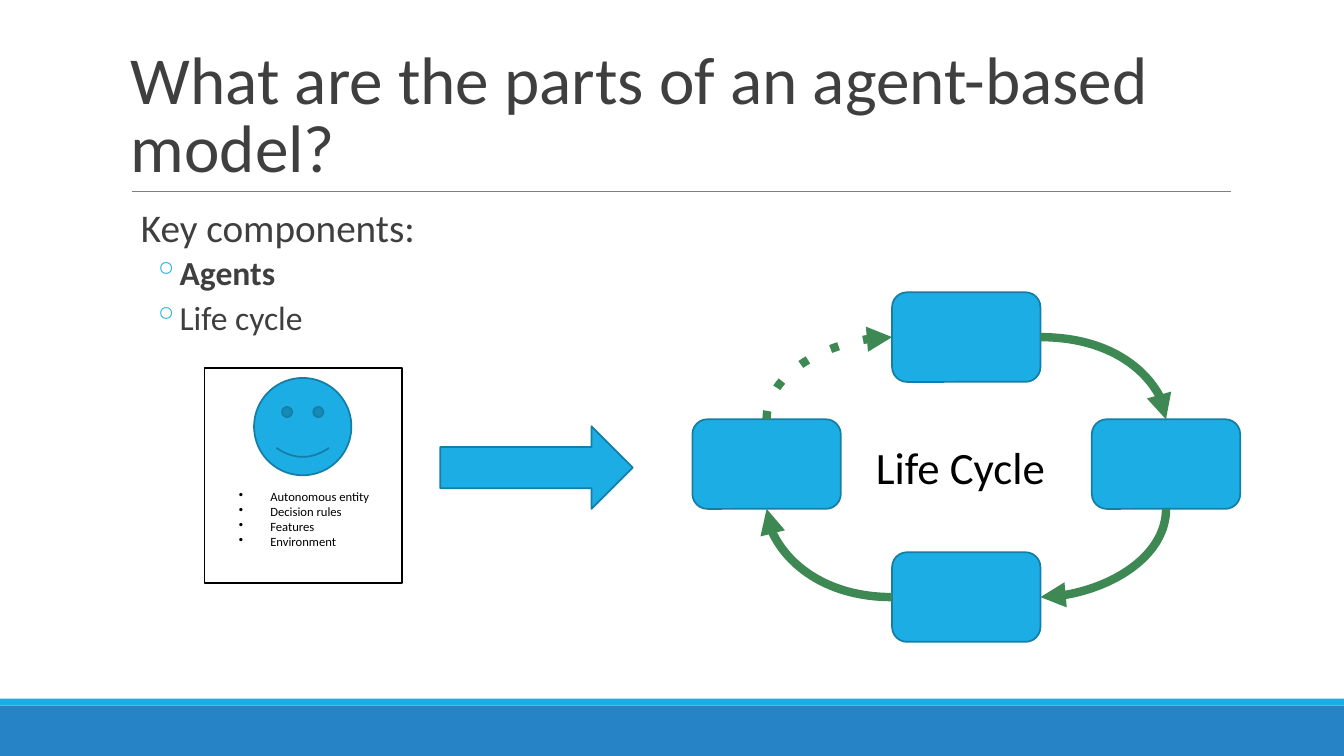
from lxml import etree
from pptx import Presentation
from pptx.dml.color import RGBColor
from pptx.enum.shapes import MSO_CONNECTOR as Link, MSO_SHAPE as Form
from pptx.enum.text import MSO_ANCHOR as Anchor
from pptx.oxml.ns import qn
from pptx.util import Pt

# Content
TITLE = "What are the parts of an agent-based model?"
HEADING = "Key components:"
COMPONENTS = [("Agents", True, 4), ("Life cycle", False, 6)]  # text, bold, space before
TRAITS = ["Autonomous entity", "Decision rules", "Features", "Environment"]
CYCLE_LABEL = "Life Cycle"

# Style
FONT = "Calibri"
BLUE, DEEP_BLUE, EDGE = "1CADE4", "2683C6", "147EA6"
GREEN, GREY, DARK, BLACK = "3E8853", "7F7F7F", "3F3F3F", "000000"

# Layout in points
SLIDE_W, SLIDE_H = 960, 540
STEP_W, STEP_H = 106, 64
STEP_CENTRES = [(690.2, 240.8), (832.9, 331.5), (690.2, 426.5), (547.6, 331.5)]
TOP, LEFT, BOTTOM, RIGHT = range(4)  # connection sites of a rounded rectangle
TURNS = [(RIGHT, TOP), (BOTTOM, RIGHT), (LEFT, BOTTOM), (TOP, LEFT)]


def colour(code):
    return RGBColor.from_string(code)


def add_form(parent, form, left, top, width, height, fill=None, edge=None):
    shape = parent.shapes.add_shape(form, Pt(left), Pt(top), Pt(width), Pt(height))
    shape.shadow.inherit = False
    if fill:
        shape.fill.solid()
        shape.fill.fore_color.rgb = colour(fill)
    else:
        shape.fill.background()
    if edge:
        shape.line.color.rgb = colour(edge)
        shape.line.width = Pt(1.25)
    else:
        shape.line.fill.background()
    return shape


def add_text(parent, left, top, width, height, lines, size, code):
    box = parent.shapes.add_textbox(Pt(left), Pt(top), Pt(width), Pt(height))
    frame = box.text_frame
    frame.word_wrap = True
    frame.text = "\n".join(lines)
    for para in frame.paragraphs:
        for span in para.runs:
            span.font.name = FONT
            span.font.size = Pt(size)
            span.font.color.rgb = colour(code)
    return frame


def indent(para, margin, hanging=0, bullet=None, code=BLACK):
    props = para._p.get_or_add_pPr()
    props.set("marL", str(Pt(margin)))
    props.set("indent", str(Pt(-hanging)))
    if bullet:
        tint = etree.SubElement(props, qn("a:buClr"))
        etree.SubElement(tint, qn("a:srgbClr"), val=code)
        etree.SubElement(props, qn("a:buChar"), char=bullet)


def add_line(parent, begin, end, code, width, kind=Link.STRAIGHT):
    line = parent.shapes.add_connector(kind, *(Pt(value) for value in begin + end))
    etree.SubElement(line._element.spPr, qn("a:effectLst"))
    line.line.color.rgb = colour(code)
    line.line.width = Pt(width)
    return line


def site(centre, side):
    x, y = centre
    return {
        TOP: (x, y - STEP_H / 2),
        LEFT: (x - STEP_W / 2, y),
        BOTTOM: (x, y + STEP_H / 2),
        RIGHT: (x + STEP_W / 2, y),
    }[side]


deck = Presentation()
deck.slide_width, deck.slide_height = Pt(SLIDE_W), Pt(SLIDE_H)
page = deck.slides.add_slide(deck.slide_layouts[6])

# Footer bands and title
add_form(page, Form.RECTANGLE, 0, 504, SLIDE_W, 36, DEEP_BLUE)
add_form(page, Form.RECTANGLE, 0, 499, SLIDE_W, 5, BLUE)
add_line(page, (94.3, 136.8), (879, 136.8), GREY, 0.75)
title = add_text(page, 86.4, 22.3, 792, 114.5, [TITLE], 48, DARK)
title.vertical_anchor = Anchor.BOTTOM
title.paragraphs[0].line_spacing = 0.85

# Agent card
card = page.shapes.add_group_shape()
add_form(card, Form.RECTANGLE, 146, 263, 141, 153.5, edge=BLACK)
add_form(card, Form.SMILEY_FACE, 181.5, 270, 69.5, 69.5, BLUE, EDGE)
traits = add_text(card, 163.5, 345.6, 108.7, 51, TRAITS, 9, BLACK)
for para in traits.paragraphs:
    indent(para, 22.5, 22.5, "•")

# Key components
names = [name for name, bold, gap in COMPONENTS]
outline = add_text(page, 86.4, 145.4, 792, 316.8, [HEADING] + names, 24, DARK)
heading, *items = outline.paragraphs
heading.line_spacing = 0.9
heading.runs[0].font.size = Pt(28)
indent(heading, 7.2)
for para, (name, bold, gap) in zip(items, COMPONENTS):
    para.level = 1
    para.line_spacing = 0.9
    para.space_before = Pt(gap)
    para.runs[0].font.bold = bold
    indent(para, 30.2, 14.4, "◦", BLUE)

# Life cycle steps
steps = [
    add_form(page, Form.ROUNDED_RECTANGLE, x - STEP_W / 2, y - STEP_H / 2,
             STEP_W, STEP_H, BLUE, EDGE)
    for x, y in STEP_CENTRES
]
add_text(page, 618.5, 310.3, 144, 46, [CYCLE_LABEL], 32, BLACK)

# Curved arrows, each a quarter turn further than the last
for turn, (leave, arrive) in enumerate(TURNS):
    following = (turn + 1) % len(steps)
    begin = site(STEP_CENTRES[turn], leave)
    end = site(STEP_CENTRES[following], arrive)
    arrow = add_line(page, begin, end, GREEN, 6, Link.CURVE)
    arrow.begin_connect(steps[turn], leave)
    arrow.end_connect(steps[following], arrive)

    width, height = abs(end[0] - begin[0]), abs(end[1] - begin[1])
    if turn % 2:
        width, height = height, width
    arrow.left = Pt((begin[0] + end[0] - width) / 2)
    arrow.top = Pt((begin[1] + end[1] - height) / 2)
    arrow.width, arrow.height = Pt(width), Pt(height)
    props = arrow._element.spPr
    frame = props.find(qn("a:xfrm"))
    for flip in ("flipH", "flipV"):
        frame.attrib.pop(flip, None)
    frame.set("rot", str(turn * 90 * 60000))
    props.find(qn("a:prstGeom")).set("prst", "curvedConnector2")

    stroke = props.find(qn("a:ln"))
    if following == 0:
        etree.SubElement(stroke, qn("a:prstDash"), val="sysDot")
        stroke.find(qn("a:prstDash")).set("val", "dot")
    etree.SubElement(stroke, qn("a:tailEnd"), type="triangle")

# Arrow from the agent to its life cycle
add_form(page, Form.RIGHT_ARROW, 314.5, 304.5, 137.5, 59, BLUE, EDGE)

deck.save("out.pptx")
